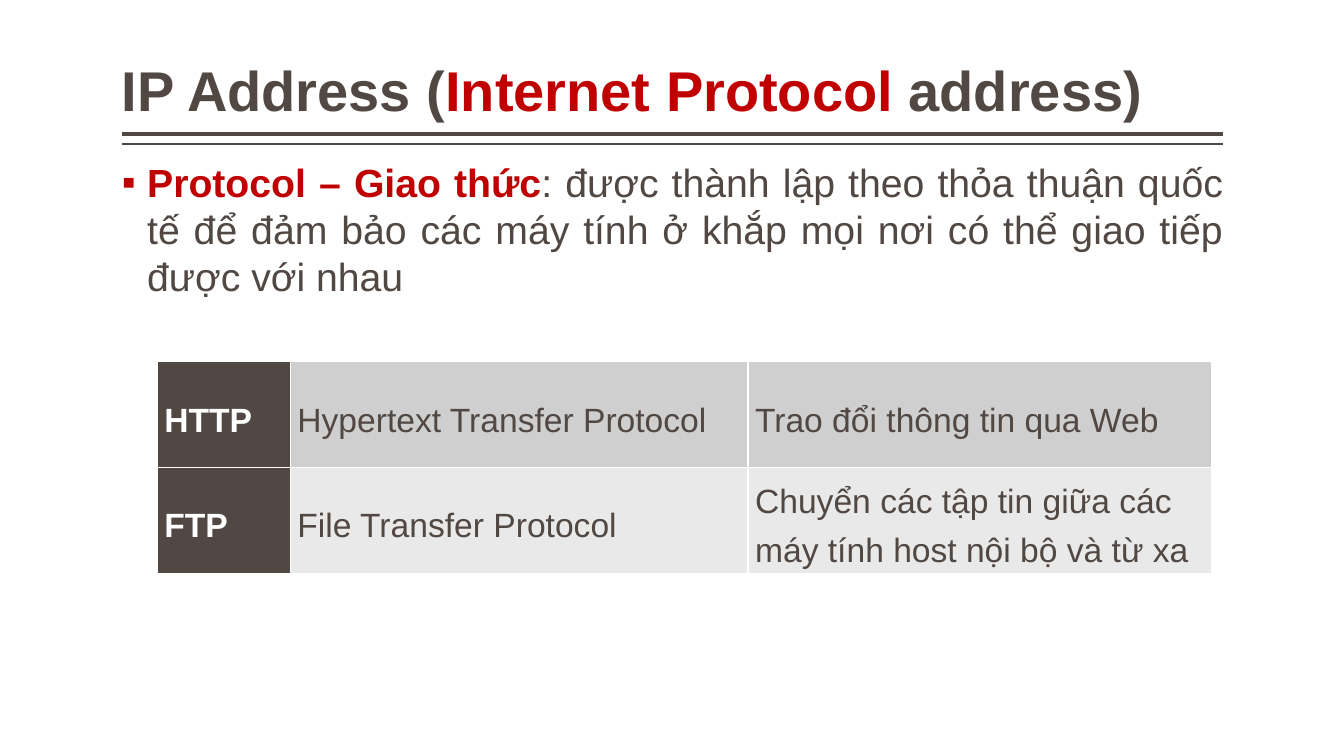
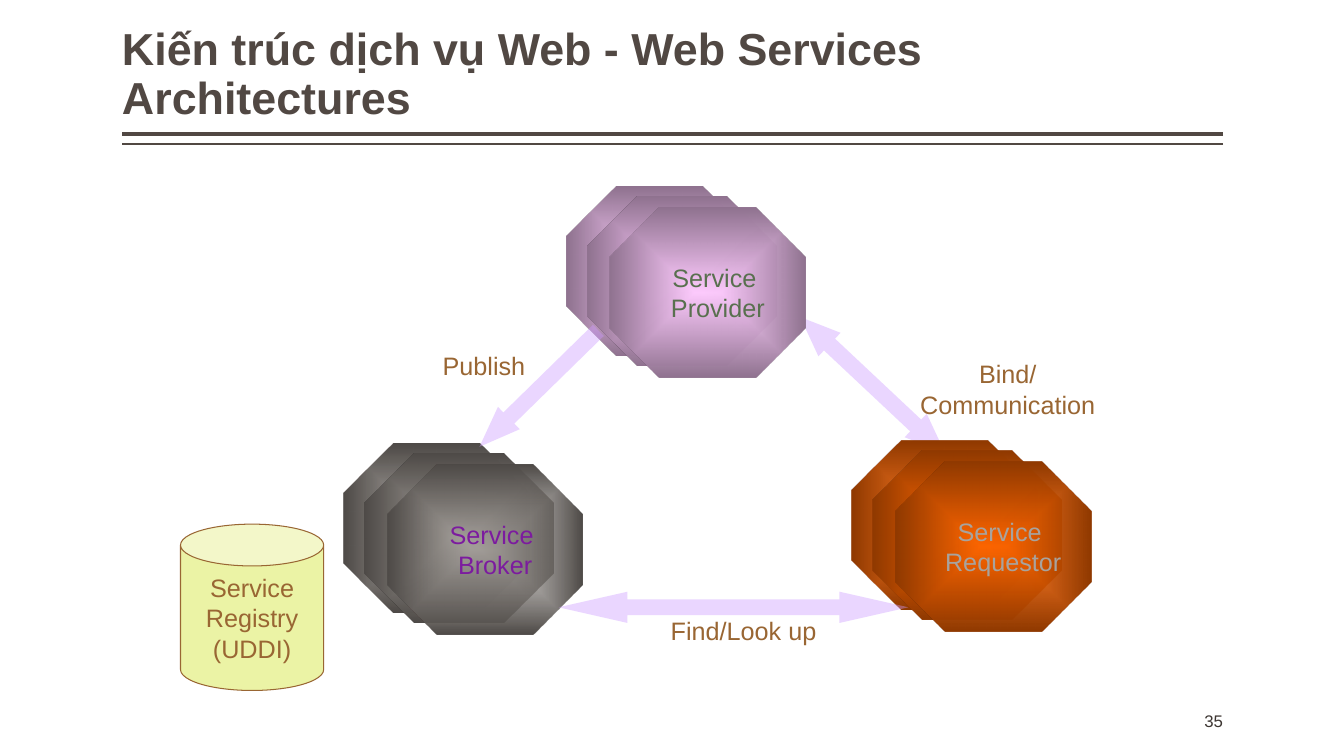
from dataclasses import dataclass

from lxml import etree
from pptx import Presentation
from pptx.dml import color
from pptx.enum import shapes, text
from pptx.oxml import ns
from pptx.util import Inches, Pt


@dataclass(frozen=True)
class Theme:
    font: str = "Arial"
    ink: str = "514843"
    accent: str = "C00000"
    white: str = "FFFFFF"
    bands: tuple = ("D0CFCF", "E9E9E9")
    arrow: str = "CC99FF"
    label: str = "996633"
    registry: str = "CFE11F"
    number: str = "3D3632"
    large_title: int = 40
    title: int = 32
    body: int = 28
    table: int = 24
    diagram: int = 18
    small: int = 12


THEME = Theme()
LEFT, WIDTH = 1.21, 10.92
LEFT_ALIGN, CENTER, RIGHT, JUSTIFY = (
    text.PP_ALIGN.LEFT, text.PP_ALIGN.CENTER, text.PP_ALIGN.RIGHT, text.PP_ALIGN.JUSTIFY)
TOP, MIDDLE, BOTTOM = text.MSO_ANCHOR.TOP, text.MSO_ANCHOR.MIDDLE, text.MSO_ANCHOR.BOTTOM


def rgb(value):
    return color.RGBColor.from_string(value)


def child(parent, tag, **attributes):
    element = etree.SubElement(parent, ns.qn(tag))
    for name, value in attributes.items():
        element.set(name, str(value))
    return element


def write(frame, paras, size, ink=THEME.ink, bold=False, align=LEFT_ALIGN, anchor=TOP,
          spacing=1.0, wrap=True, insets=(0.1, 0.05, 0.1, 0.05), bullet=None):
    frame.auto_size = text.MSO_AUTO_SIZE.NONE
    frame.word_wrap = wrap
    frame.vertical_anchor = anchor
    frame.margin_left, frame.margin_top, frame.margin_right, frame.margin_bottom = map(
        Inches, insets)
    for index, spans in enumerate(paras):
        para = frame.paragraphs[0] if index == 0 else frame.add_paragraph()
        para.alignment = align
        para.line_spacing = spacing
        para.space_before = para.space_after = Pt(0)
        if bullet:
            properties = para._p.get_or_add_pPr()
            properties.set("marL", str(Inches(0.25)))
            properties.set("indent", str(Inches(-0.25)))
            child(properties, "a:buFont", typeface=THEME.font)
            child(properties, "a:buChar", char=bullet)
        for span in [(spans,)] if isinstance(spans, str) else spans:
            words, span_ink, span_bold = (*span, ink, bold)[:3] if len(span) != 2 else (*span, bold)
            run = para.add_run()
            run.text = words
            run.font.name = THEME.font
            run.font.size = Pt(size)
            run.font.bold = span_bold
            run.font.color.rgb = rgb(span_ink)


def place(holder, left, top, width, height):
    holder.left, holder.top, holder.width, holder.height = map(
        Inches, (left, top, width, height))


def add_text(page, box, paras, **form):
    write(page.shapes.add_textbox(*map(Inches, box)).text_frame, paras, **form)


def add_header(page, spans, size):
    for top, weight in ((1.33, 3), (1.43, 1)):
        rule = page.shapes.add_connector(
            shapes.MSO_CONNECTOR.STRAIGHT,
            Inches(LEFT + WIDTH), Inches(top), Inches(LEFT), Inches(top))
        rule.line.color.rgb = rgb(THEME.ink)
        rule.line.width = Pt(weight)
        child(rule._element.spPr, "a:effectLst")
    place(page.shapes.title, LEFT, 0.08, WIDTH, 1.2)
    write(page.shapes.title.text_frame, [spans], size, bold=True, anchor=BOTTOM,
          spacing=0.9, insets=(0, 0.05, 0, 0.05))


def add_preset(page, preset, box, adjustments, fill=None, alpha=40, rotation=0):
    shape = page.shapes.add_shape(preset, *map(Inches, box))
    shape.shadow.inherit = False
    shape.line.fill.background()
    shape.rotation = rotation
    for index, value in enumerate(adjustments):
        shape.adjustments[index] = value
    if fill:
        shape.fill.solid()
        shape.fill.fore_color.rgb = rgb(fill)
        tint = shape._element.spPr.find(f".//{ns.qn('a:srgbClr')}")
        child(tint, "a:alpha", val=alpha * 1000)
    return shape


def fill_from_center(shape, inner, outer, alpha):
    shape.fill.gradient()
    gradient = shape._element.spPr.find(ns.qn("a:gradFill"))
    for part in list(gradient):
        gradient.remove(part)
    stops = child(gradient, "a:gsLst")
    for position, tint, opacity in ((0, inner, alpha), (100, outer, 100)):
        stop = child(stops, "a:gs", pos=position * 1000)
        child(child(stop, "a:srgbClr", val=tint), "a:alpha", val=opacity * 1000)
    path = child(gradient, "a:path", path="shape")
    child(path, "a:fillToRect", l=50000, t=50000, r=50000, b=50000)


def add_service(page, left, top, name, ink, inner, outer, alphas):
    layers = ((0, 0, 1.84), (0.21, 0.1, 1.87), (0.43, 0.21, 1.94))
    for (across, down, width), alpha in zip(layers, alphas):
        octagon = add_preset(page, shapes.MSO_SHAPE.OCTAGON,
                             (left + across, top + down, width, 1.68), (0.293,))
        fill_from_center(octagon, inner, outer, alpha)
    write(octagon.text_frame, ["Service ", name], THEME.diagram, ink, align=CENTER,
          anchor=MIDDLE, wrap=False, insets=(0.3, 0.05, 0.1, 0.05))


def style_cell(cell, words, fill, ink, bold):
    cell.fill.solid()
    cell.fill.fore_color.rgb = rgb(fill)
    write(cell.text_frame, [words], THEME.table, ink, bold, spacing=1.3)
    cell.vertical_anchor = MIDDLE
    cell.margin_left = cell.margin_right = Inches(0.07)
    cell.margin_top = cell.margin_bottom = 0
    properties = cell._tc.get_or_add_tcPr()
    for index, side in enumerate(("a:lnL", "a:lnR", "a:lnT", "a:lnB")):
        border = etree.Element(ns.qn(side), w=str(Pt(1)))
        child(child(border, "a:solidFill"), "a:srgbClr", val=THEME.white)
        properties.insert(index, border)


def add_protocol_table(page, left, top, rows):
    widths, height = (1.32, 4.54, 4.6), 1.05
    table = page.shapes.add_table(
        len(rows), len(widths), Inches(left), Inches(top),
        Inches(sum(widths)), Inches(height * len(rows))).table
    table.first_row = table.horz_banding = False
    for column, width in zip(table.columns, widths):
        column.width = Inches(width)
    for row_index, words in enumerate(rows):
        table.rows[row_index].height = Inches(height)
        for column_index, entry in enumerate(words):
            head = column_index == 0
            style_cell(table.cell(row_index, column_index), entry,
                       THEME.ink if head else THEME.bands[row_index],
                       THEME.white if head else THEME.ink, head)


def add_registry(page, box):
    can = add_preset(page, shapes.MSO_SHAPE.CAN, box, (0.292,), THEME.registry)
    can.line.color.rgb = rgb(THEME.label)
    can.line.width = Pt(0.75)
    write(can.text_frame, ["Service", "Registry", "(UDDI)"], THEME.diagram, THEME.label,
          align=CENTER, anchor=MIDDLE, wrap=False)


def build_protocol_page(deck):
    page = deck.slides.add_slide(deck.slide_layouts[1])
    add_header(page, [("IP Address (",), ("Internet Protocol ", THEME.accent), ("address)",)],
               THEME.large_title)
    body = page.placeholders[1]
    place(body, LEFT, 1.52, WIDTH, 5.23)
    write(body.text_frame, [[
        ("Protocol – Giao thức", THEME.accent, True),
        (": được thành lập theo thỏa thuận quốc tế để đảm bảo các máy tính "
         "ở khắp mọi nơi có thể giao tiếp được với nhau",),
    ]], THEME.body, align=JUSTIFY, insets=(0, 0.05, 0, 0.05), bullet="▪")
    add_protocol_table(page, 1.56, 3.59, (
        ("HTTP", "Hypertext Transfer Protocol", "Trao đổi thông tin qua Web"),
        ("FTP", "File Transfer Protocol",
         "Chuyển các tập tin giữa các máy tính host nội bộ và từ xa"),
    ))


def build_architecture_page(deck):
    page = deck.slides.add_slide(deck.slide_layouts[5])
    add_header(page, "Kiến trúc dịch vụ Web - Web Services Architectures", THEME.title)
    add_text(page, (10.13, 6.95, 2, 0.4), ["35"], size=THEME.small, ink=THEME.number,
             align=RIGHT, anchor=MIDDLE, insets=(0, 0.05, 0, 0.05))

    both_ways, one_way = shapes.MSO_SHAPE.LEFT_RIGHT_ARROW, shapes.MSO_SHAPE.LEFT_ARROW
    add_preset(page, both_ways, (7.67, 3.66, 1.97, 0.32), (0.5, 1.246), THEME.arrow,
               rotation=43.2)
    for service in (
        (5.62, 1.85, "Provider", "59704F", "FFCCFF", "8F728F", (89, 89, 89)),
        (8.45, 4.37, "Requestor", "A8A39E", "FF6600", "8F3900", (84, 84, 84)),
        (3.41, 4.4, "Broker", "7C1B9F", "A8A39E", "4E4A47", (86, 86, 49)),
    ):
        add_service(page, *service)
    add_preset(page, one_way, (4.52, 3.7, 1.65, 0.31), (0.5, 1.316), THEME.arrow,
               rotation=315.6)
    add_preset(page, both_ways, (5.54, 5.87, 3.47, 0.31), (0.5, 2.206), THEME.arrow)
    add_registry(page, (1.79, 5.2, 1.42, 1.65))
    for box, lines in (
        ((4.13, 3.43, 1.34, 0.4), ["Publish"]),
        ((8.71, 3.51, 2.57, 0.71), ["Bind/", "Communication"]),
        ((6.49, 6.06, 1.77, 0.4), ["Find/Look up"]),
    ):
        add_text(page, box, lines, size=THEME.diagram, ink=THEME.label, align=CENTER)


def main():
    deck = Presentation()
    deck.slide_width, deck.slide_height = Inches(13.33), Inches(7.5)
    build_protocol_page(deck)
    build_architecture_page(deck)
    deck.save("out.pptx")


if __name__ == "__main__":
    main()
